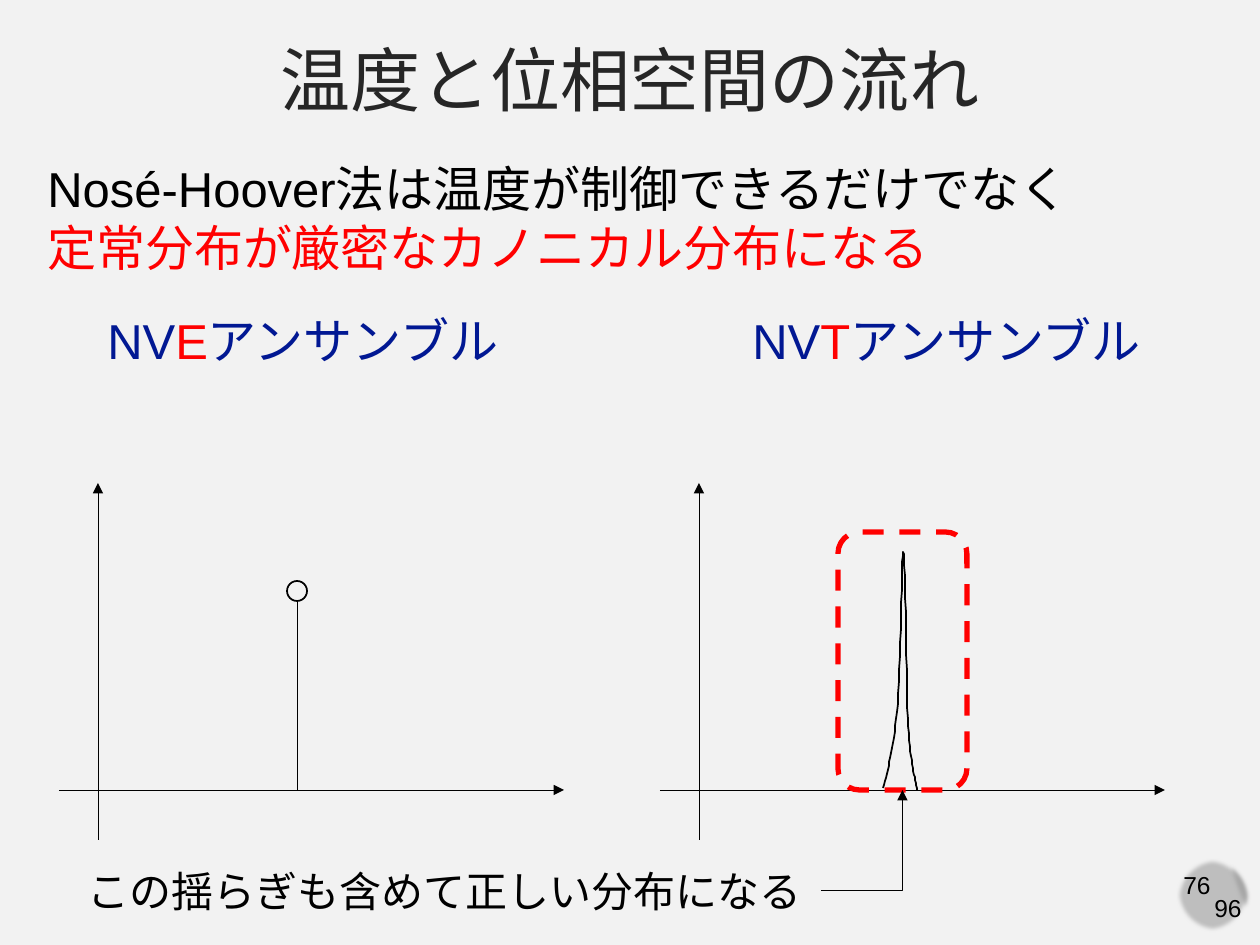
from dataclasses import dataclass

from lxml import etree
from pptx import Presentation
from pptx.dml.color import RGBColor
from pptx.enum.dml import MSO_LINE
from pptx.enum.shapes import MSO_CONNECTOR, MSO_SHAPE
from pptx.enum.text import MSO_ANCHOR, PP_ALIGN
from pptx.oxml.ns import qn
from pptx.util import Emu, Pt

DASH = MSO_LINE.DASH
STRAIGHT, ELBOW = MSO_CONNECTOR.STRAIGHT, MSO_CONNECTOR.ELBOW
OVAL, CHORD, ROUNDED = MSO_SHAPE.OVAL, MSO_SHAPE.CHORD, MSO_SHAPE.ROUNDED_RECTANGLE
MIDDLE = MSO_ANCHOR.MIDDLE
LEFT, CENTER = PP_ALIGN.LEFT, PP_ALIGN.CENTER
BOTTOM_SIDE, RIGHT_SIDE = 2, 3
TITLE_ONLY = 5
EMU_PER_PX = 914400 / 126


@dataclass(frozen=True)
class Theme:
    """Colours, font and type sizes of the deck."""
    background: str = "F2F2F2"
    title: str = "262626"
    ink: str = "000000"
    accent: str = "FF0000"
    heading: str = "011893"
    badge: str = "BFBFBF"
    badge_edge: str = "D9D9D9"
    badge_progress: str = "A6A6A6"
    font: str = "Arial"
    title_size: int = 40
    body_size: int = 28
    note_size: int = 24
    page_size: int = 14


def px(length):
    """Turn pixels into EMU."""
    return Emu(round(length * EMU_PER_PX))


def rgb(color):
    """Turn a hex string into a colour."""
    return RGBColor.from_string(color)


def bezier(start, first, second, end, steps=16):
    """Return points along a cubic curve, without its start."""
    points = []
    for step in range(1, steps + 1):
        t = step / steps
        weights = ((1 - t) ** 3, 3 * t * (1 - t) ** 2, 3 * t * t * (1 - t), t ** 3)
        points.append(tuple(
            sum(weight * value for weight, value in zip(weights, values))
            for values in zip(start, first, second, end)))
    return points


class SlideBuilder:
    """Draws styled elements on the current slide."""

    def __init__(self, slide, theme):
        """Keep the slide and theme, and paint the background."""
        self.slide, self.theme = slide, theme
        fill = slide.background.fill
        fill.solid()
        fill.fore_color.rgb = rgb(theme.background)

    def add_runs(self, frame, paragraphs, size, align=LEFT):
        """Fill a text frame with paragraphs of (text, colour) runs."""
        for index, runs in enumerate(paragraphs):
            paragraph = frame.add_paragraph() if index else frame.paragraphs[0]
            paragraph.alignment = align
            for text, color in runs:
                run = paragraph.add_run()
                run.text = text
                run.font.name = self.theme.font
                run.font.size = Pt(size)
                run.font.color.rgb = rgb(color)

    def title(self, text, left, top, width, height):
        """Place and format the title placeholder."""
        shape = self.slide.shapes.title
        shape.left, shape.top, shape.width, shape.height = map(px, (left, top, width, height))
        shape.text_frame.vertical_anchor = MIDDLE
        self.add_runs(shape.text_frame, [[(text, self.theme.title)]],
                      self.theme.title_size, CENTER)

    def text(self, paragraphs, box, size, align=LEFT, wrap=True):
        """Add a text box."""
        shape = self.slide.shapes.add_textbox(*map(px, box))
        shape.text_frame.word_wrap = wrap
        self.add_runs(shape.text_frame, paragraphs, size, align)
        return shape

    def style(self, shape, fill=None, line=None, weight=1):
        """Set fill and outline, and drop the shadow."""
        shape.shadow.inherit = False
        if fill:
            shape.fill.solid()
            shape.fill.fore_color.rgb = rgb(fill)
        else:
            shape.fill.background()
        if line:
            shape.line.color.rgb = rgb(line)
            shape.line.width = Pt(weight)
        else:
            shape.line.fill.background()

    def shape(self, kind, box, fill=None, line=None, weight=1):
        """Add a preset shape."""
        shape = self.slide.shapes.add_shape(kind, *map(px, box))
        self.style(shape, fill, line, weight)
        return shape

    def soften(self, shape, radius):
        """Blur the edge of a shape."""
        effects = shape._element.spPr.find(qn("a:effectLst"))
        etree.SubElement(effects, qn("a:softEdge"), rad=str(int(Pt(radius))))

    def connector(self, start, end, arrow=False, kind=STRAIGHT):
        """Add a thin line, with an arrowhead at its end if wanted."""
        connector = self.slide.shapes.add_connector(kind, *map(px, start + end))
        connector.line.color.rgb = rgb(self.theme.ink)
        connector.line.width = Pt(0.5)
        properties = connector._element.spPr
        if arrow:
            etree.SubElement(properties.find(qn("a:ln")), qn("a:tailEnd"), type="triangle")
        etree.SubElement(properties, qn("a:effectLst"))
        return connector

    def corner_arrow(self, source, source_side, target, target_side):
        """Join two shapes by an arrow with a single bend."""
        connector = self.connector((821, 891), (903, 790), arrow=True, kind=ELBOW)
        connector.begin_connect(source, source_side)
        connector.end_connect(target, target_side)
        connector._element.spPr.find(qn("a:prstGeom")).set("prst", "bentConnector2")

    def axes(self, left):
        """Draw a pair of axes starting at the given left edge."""
        self.connector((left, 790), (left + 505, 790), arrow=True)
        self.connector((left + 39, 840), (left + 39, 483), arrow=True)

    def curve(self, start, segments):
        """Draw an open curve through cubic segments."""
        points = [start]
        for segment in segments:
            points += bezier(points[-1], *segment)
        builder = self.slide.shapes.build_freeform(*start, scale=EMU_PER_PX)
        builder.add_line_segments(points[1:], close=False)
        self.style(builder.convert_to_shape(), line=self.theme.ink)

    def page_badge(self, page, total):
        """Draw the round page counter."""
        theme = self.theme
        disc = self.shape(OVAL, (1176, 859, 73, 73), theme.badge, theme.badge_edge)
        progress = self.shape(CHORD, (1174, 857, 78, 78), theme.badge_progress)
        progress.rotation = 255
        progress.adjustments[0], progress.adjustments[1] = 16.2, 84.85
        for shape in (disc, progress):
            self.soften(shape, 2.5)
        for number, left, top in ((page, 1170, 864), (total, 1201, 887)):
            self.text([[(number, theme.ink)]], (left, top, 54, 43), theme.page_size, CENTER, False)


def main():
    """Build the slide and save it."""
    theme = Theme()
    presentation = Presentation()
    presentation.slide_width, presentation.slide_height = px(1260), px(945)
    slide = presentation.slides.add_slide(presentation.slide_layouts[TITLE_ONLY])
    builder = SlideBuilder(slide, theme)

    builder.page_badge("76", "96")
    builder.title("温度と位相空間の流れ", 0, 26, 1260, 104)
    builder.text([[("Nosé-Hoover法は温度が制御できるだけでなく", theme.ink)],
                  [("定常分布が厳密なカノニカル分布になる", theme.accent)]],
                 (35, 152, 1160, 131), theme.body_size)

    for letter, label_left, axes_left in (("E", 95, 59), ("T", 740, 660)):
        builder.text([[("NV", theme.heading), (letter, theme.accent),
                       ("アンサンブル", theme.heading)]],
                     (label_left, 304, 446, 72), theme.body_size)
        builder.axes(axes_left)

    builder.connector((297, 790), (297, 601))
    builder.shape(OVAL, (287, 581, 20, 20), line=theme.ink)

    builder.curve((883, 788), [((888, 770), (893, 751), (897, 712)),
                               ((901, 673), (902, 549), (903, 552)),
                               ((906, 554), (906, 687), (908, 726)),
                               ((911, 766), (915, 777), (917, 790))])
    highlight = builder.shape(ROUNDED, (838, 532, 129, 258), line=theme.accent, weight=3)
    highlight.line.dash_style = DASH

    note = builder.text([[("この揺らぎも含めて正しい分布になる", theme.ink)]],
                        (75, 859, 746, 64), theme.note_size, wrap=False)
    builder.corner_arrow(note, RIGHT_SIDE, highlight, BOTTOM_SIDE)

    presentation.save("out.pptx")


if __name__ == "__main__":
    main()
